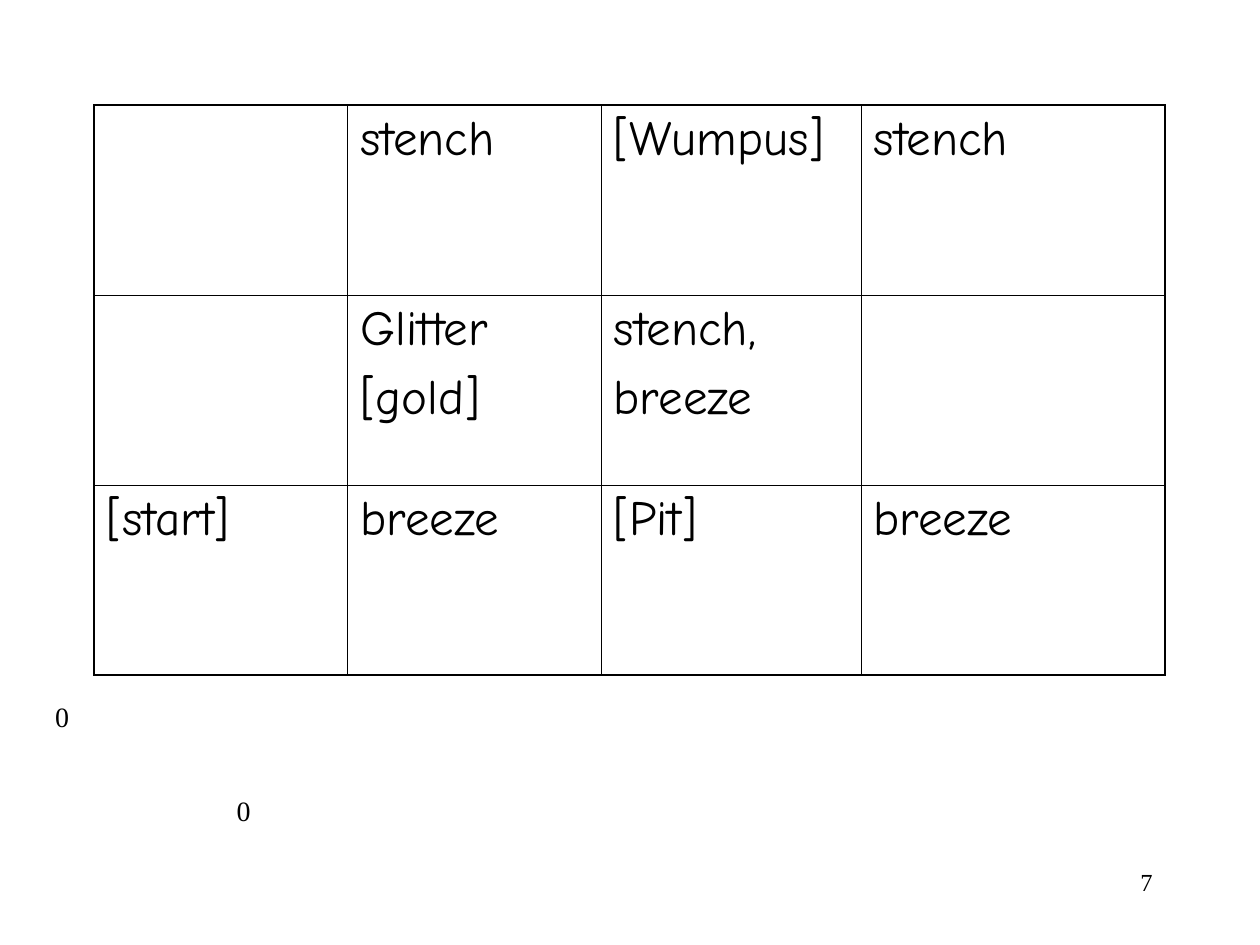
from lxml import etree
from pptx import Presentation
from pptx.dml.color import RGBColor
from pptx.enum.text import MSO_AUTO_SIZE, PP_ALIGN
from pptx.oxml.ns import qn
from pptx.util import Cm, Pt

LEFT, RIGHT = PP_ALIGN.LEFT, PP_ALIGN.RIGHT
NO_AUTOFIT, GROW = MSO_AUTO_SIZE.NONE, MSO_AUTO_SIZE.SHAPE_TO_FIT_TEXT

THEME = {
    "ink": "000000",
    "cell_font": "Comic Neue",
    "label_font": "Times New Roman",
    "cell_size": 28,
    "label_size": 16,
    "number_size": 14,
    "paragraph_gap": 7,
    "outer_line": 1.08,
    "inner_line": 0.45,
}

CAVE = [
    ["", "stench", "[Wumpus]", "stench"],
    ["", "Glitter\n[gold]", "stench,\nbreeze", ""],
    ["[start]", "breeze", "[Pit]", "breeze"],
]
CAVE_LEFT, CAVE_TOP = 1.9, 2.12
COLUMN_WIDTHS = [5.11, 5.11, 5.24, 6.13]
ROW_HEIGHT = 3.83

LABELS = [
    ("7", (18.21, 17.35, 5.28, 1.27), THEME["number_size"], RIGHT, True),
    ("0", (0.86, 13.97, 0.79, 0.94), THEME["label_size"], LEFT, False),
    ("0", (4.52, 15.88, 0.79, 0.94), THEME["label_size"], LEFT, False),
]


def format_text(text_frame, font, size, gap=0, align=LEFT):
    for paragraph in text_frame.paragraphs:
        paragraph.alignment = align
        paragraph.space_before = Pt(gap)
        for run in paragraph.runs:
            run.font.name = font
            run.font.size = Pt(size)
            run.font.color.rgb = RGBColor.from_string(THEME["ink"])


def add_label(slide, text, box, size, align, wrap):
    shape = slide.shapes.add_textbox(*map(Cm, box))
    text_frame = shape.text_frame
    text_frame.word_wrap = wrap
    text_frame.auto_size = NO_AUTOFIT if wrap else GROW
    text_frame.text = text
    format_text(text_frame, THEME["label_font"], size, align=align)


def set_borders(cell, outer_sides):
    properties = cell._tc.get_or_add_tcPr()
    for side, is_outer in outer_sides.items():
        width = THEME["outer_line" if is_outer else "inner_line"]
        line = etree.SubElement(properties, qn(f"a:ln{side}"), w=str(Pt(width)))
        fill = etree.SubElement(line, qn("a:solidFill"))
        etree.SubElement(fill, qn("a:srgbClr"), val=THEME["ink"])


def add_cave(slide):
    row_count, column_count = len(CAVE), len(COLUMN_WIDTHS)
    frame = slide.shapes.add_table(
        row_count, column_count, Cm(CAVE_LEFT), Cm(CAVE_TOP),
        Cm(sum(COLUMN_WIDTHS)), Cm(ROW_HEIGHT * row_count))
    table = frame.table
    table.first_row = False
    table.horz_banding = False
    for column, width in zip(table.columns, COLUMN_WIDTHS):
        column.width = Cm(width)
    for row_index, texts in enumerate(CAVE):
        table.rows[row_index].height = Cm(ROW_HEIGHT)
        for column_index, text in enumerate(texts):
            cell = table.cell(row_index, column_index)
            cell.text_frame.text = text
            format_text(cell.text_frame, THEME["cell_font"],
                        THEME["cell_size"], THEME["paragraph_gap"])
            set_borders(cell, {
                "L": column_index == 0,
                "R": column_index == column_count - 1,
                "T": row_index == 0,
                "B": row_index == row_count - 1,
            })
            cell.fill.background()


def main():
    presentation = Presentation()
    presentation.slide_width, presentation.slide_height = Cm(25.4), Cm(19.05)
    slide = presentation.slides.add_slide(presentation.slide_layouts[6])
    add_cave(slide)
    for label in LABELS:
        add_label(slide, *label)
    presentation.save("out.pptx")


if __name__ == "__main__":
    main()
